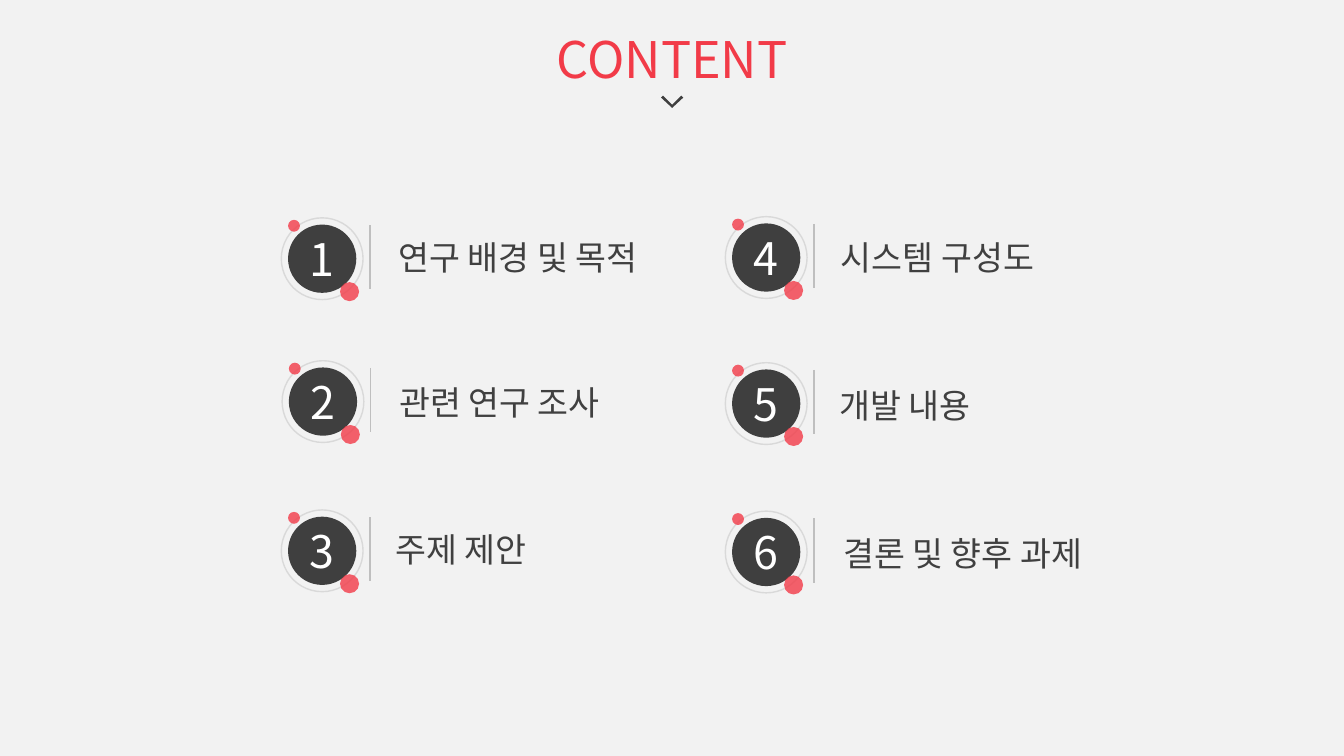
from dataclasses import dataclass

from pptx import Presentation
from pptx.dml.color import RGBColor
from pptx.enum.shapes import MSO_CONNECTOR as Line, MSO_SHAPE as Shape
from pptx.enum.text import MSO_ANCHOR as Anchor, MSO_AUTO_SIZE as Fit, PP_ALIGN as Align
from pptx.oxml.ns import qn
from pptx.util import Cm, Pt
from lxml.etree import SubElement


@dataclass(frozen=True)
class Theme:
    paper: str = "F2F2F2"
    accent: str = "F23B48"
    dark: str = "3F3F3F"
    text: str = "404040"
    white: str = "FFFFFF"
    ring: str = "D9D9D9"
    rule: str = "BFBFBF"
    latin: str = "Noto Sans CJK SC"
    korean: str = "Noto Sans CJK KR"
    title_size: int = 36
    number_size: int = 32
    label_size: int = 24


T = Theme()

# Ring left and top, number, label, then label offset from the ring and width (cm)
ITEMS = [
    (7.09, 5.49, "1", "연구 배경 및 목적", (1.9, 0.35, 8.13)),
    (7.11, 9.09, "2", "관련 연구 조사", (2.34, 0.41, 6.27)),
    (7.09, 12.85, "3", "주제 제안", (1.39, 0.36, 6.27)),
    (18.28, 5.46, "4", "시스템 구성도", (2.21, 0.38, 6.27)),
    (18.28, 9.14, "5", "개발 내용", (0.89, 0.44, 7.26)),
    (18.28, 12.88, "6", "결론 및 향후 과제", (2.03, 0.43, 7.9)),
]


def rgb(color):
    return RGBColor.from_string(color)


def write(tf, text, size, color, font, anchor=Anchor.TOP, fit=Fit.SHAPE_TO_FIT_TEXT):
    tf.word_wrap = True
    tf.auto_size = fit
    tf.vertical_anchor = anchor
    p = tf.paragraphs[0]
    p.alignment = Align.CENTER
    r = p.add_run()
    r.text = text
    r.font.size, r.font.name = Pt(size), font
    r.font.color.rgb = rgb(color)
    SubElement(r.font._element, qn("a:ea"), typeface=font)


def circle(s, x, y, size, fill=None, line=None, alpha=None):
    sp = s.shapes.add_shape(Shape.OVAL, Cm(x), Cm(y), Cm(size), Cm(size))
    sp.shadow.inherit = False
    if fill:
        sp.fill.solid()
        sp.fill.fore_color.rgb = rgb(fill)
    else:
        sp.fill.background()
    if line:
        sp.line.color.rgb = rgb(line)
        sp.line.width = Pt(1)
    else:
        sp.line.fill.background()
    if alpha:
        color = sp.fill._xPr.find(qn("a:solidFill"))[0]
        SubElement(color, qn("a:alpha"), val=str(alpha * 1000))
    return sp


def heading(s, x, y, w, h):
    title = s.shapes.title
    title.left, title.top, title.width, title.height = Cm(x), Cm(y), Cm(w), Cm(h)
    write(title.text_frame, "CONTENT", T.title_size, T.accent, T.latin)

    # Chevron centred under the title
    cx, top = x + w / 2, y + h + 0.03
    outline = [(0.23, 0), (0.28, 0.05), (0, 0.31), (-0.28, 0.05), (-0.23, 0), (0, 0.23)]
    points = [(Cm(cx + dx), Cm(top + dy)) for dx, dy in outline]
    builder = s.shapes.build_freeform(*points[0])
    builder.add_line_segments(points[1:], close=True)
    sp = builder.convert_to_shape()
    sp.shadow.inherit = False
    sp.fill.solid()
    sp.fill.fore_color.rgb = rgb(T.dark)
    sp.line.fill.background()


def item(s, x, y, number, label, label_box):
    # Numbered badge
    disc = circle(s, x + 0.17, y + 0.17, 1.72, fill=T.dark)
    write(disc.text_frame, number, T.number_size, T.white, T.latin,
          anchor=Anchor.MIDDLE, fit=Fit.NONE)
    circle(s, x, y, 2.06, line=T.ring)
    circle(s, x + 1.48, y + 1.62, 0.48, fill=T.accent, alpha=80)
    circle(s, x + 0.17, y + 0.05, 0.3, fill=T.accent, alpha=80)

    # Divider
    rule = s.shapes.add_connector(Line.STRAIGHT, Cm(x + 2.23), Cm(y + 0.18),
                                  Cm(x + 2.23), Cm(y + 1.8))
    rule.line.color.rgb = rgb(T.rule)
    rule.line.width = Pt(1)
    SubElement(rule._element.spPr, qn("a:effectLst"))

    # Label
    dx, dy, w = label_box
    box = s.shapes.add_textbox(Cm(x + dx), Cm(y + dy), Cm(w), Cm(1.27))
    write(box.text_frame, label, T.label_size, T.text, T.korean)


def main():
    prs = Presentation()
    prs.slide_width, prs.slide_height = Cm(33.87), Cm(19.05)
    s = prs.slides.add_slide(prs.slide_layouts[5])
    s.background.fill.solid()
    s.background.fill.fore_color.rgb = rgb(T.paper)

    heading(s, 13.31, 0.58, 7.26, 1.8)
    for entry in ITEMS:
        item(s, *entry)
    prs.save("out.pptx")


if __name__ == "__main__":
    main()
